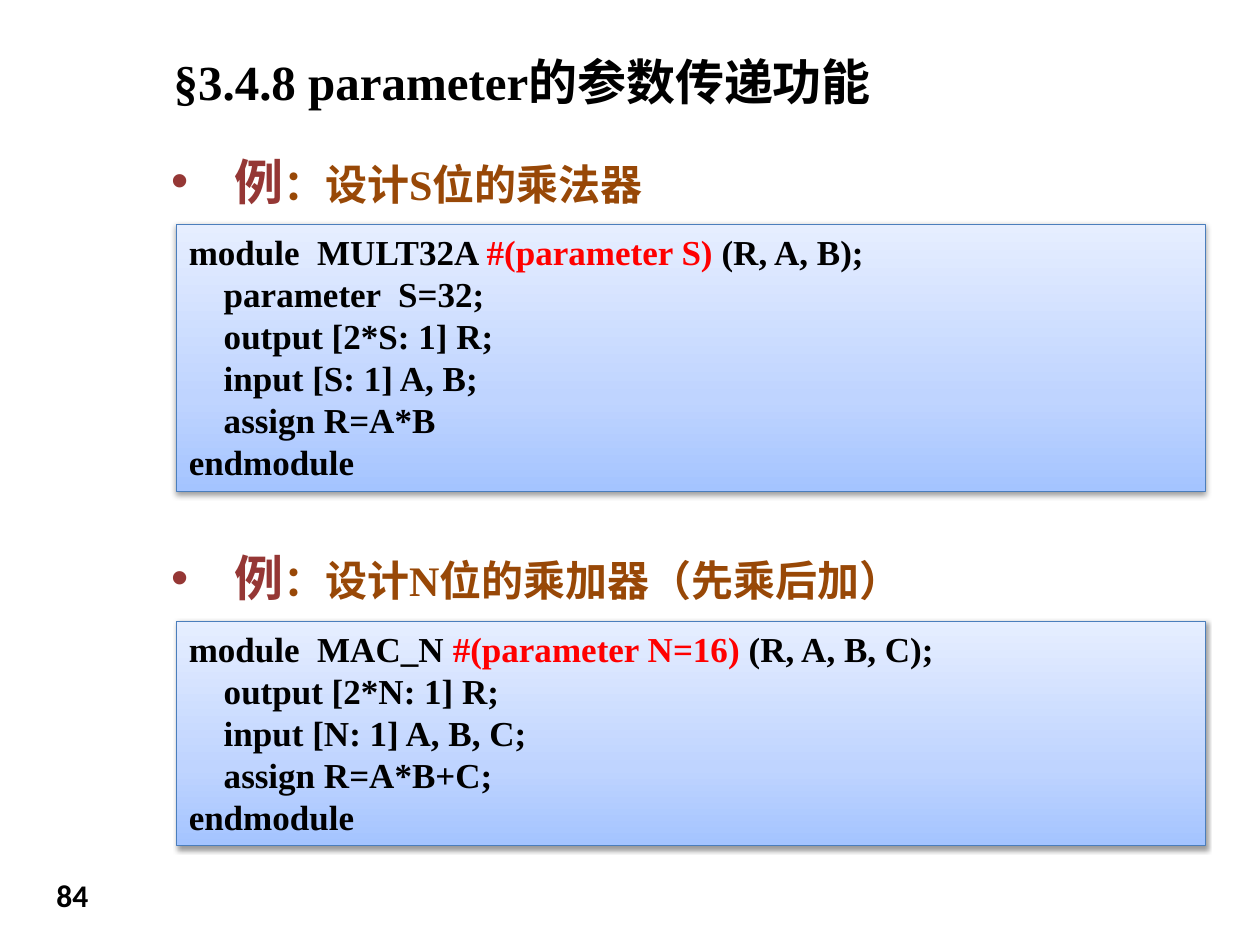
from lxml.etree import SubElement
from pptx import Presentation
from pptx.dml.color import RGBColor
from pptx.enum.shapes import MSO_SHAPE
from pptx.enum.text import MSO_ANCHOR, PP_ALIGN
from pptx.oxml import parse_xml
from pptx.oxml.ns import nsdecls, qn
from pptx.util import Inches, Pt

COLORS = {
    "black": "000000", "red": "FF0000", "maroon": "953735", "brown": "984807",
    "border": "4B7EBC", "deep": "A4C4FF", "middle": "BFD4FF", "pale": "E6EEFF",
}
SERIF = "Times New Roman"

deck = Presentation()
deck.slide_width, deck.slide_height = Inches(10), Inches(7.5)
page = deck.slides.add_slide(deck.slide_layouts[6])


def add_text_box(left, top, width, height):
    box = page.shapes.add_textbox(Inches(left), Inches(top), Inches(width), Inches(height))
    box.text_frame.word_wrap = True
    return box.text_frame.paragraphs[0]


def add_run(para, text, size, color="black", font=SERIF):
    span = para.add_run()
    span.text = text
    span.font.name = font
    span.font.size = Pt(size)
    span.font.bold = True
    span.font.color.rgb = RGBColor.from_string(COLORS[color])


title = add_text_box(1.28, 0.36, 8.28, 1.26)
add_run(title, "§3.4.8 parameter的参数传递功能", 28)

examples = [
    (1.15, 2.12, "：设计S位的乘法器", [
        [("module  MULT32A ", "black"), ("#(parameter S)", "red"), (" (R, A, B);", "black")],
        [("    parameter  S=32;", "black")],
        [("    output [2*S: 1] R;", "black")],
        [("    input [S: 1] A, B;", "black")],
        [("    assign R=A*B", "black")],
        [("endmodule", "black")],
    ]),
    (4.3, 1.78, "：设计N位的乘加器（先乘后加）", [
        [("module  MAC_N ", "black"), ("#(parameter N=16) ", "red"), ("(R, A, B, C);", "black")],
        [("    output [2*N: 1] R;", "black")],
        [("    input [N: 1] A, B, C;", "black")],
        [("    assign R=A*B+C;", "black")],
        [("endmodule", "black")],
    ]),
]

for top, code_height, heading, code_lines in examples:
    para = add_text_box(1.26, top, 7.72, 0.94)
    properties = para._p.get_or_add_pPr()
    properties.set("marL", str(Inches(0.5)))
    properties.set("indent", str(Inches(-0.5)))
    bullet_color = SubElement(properties, qn("a:buClr"))
    SubElement(bullet_color, qn("a:srgbClr"), val=COLORS["maroon"])
    SubElement(properties, qn("a:buFont"), typeface="Arial")
    SubElement(properties, qn("a:buChar"), char="•")
    add_run(para, "例", 28, "maroon")
    add_run(para, heading, 24, "brown")

    panel = page.shapes.add_shape(
        MSO_SHAPE.RECTANGLE, Inches(1.4), Inches(top + 0.63), Inches(8.17), Inches(code_height))
    panel.line.color.rgb = RGBColor.from_string(COLORS["border"])
    panel.line.width = Pt(0.75)
    panel.fill.gradient()
    gradient = panel._element.spPr.find(qn("a:gradFill"))
    stops = gradient.find(qn("a:gsLst"))
    for stop in list(stops):
        stops.remove(stop)
    for position, name in ((0, "deep"), (35, "middle"), (100, "pale")):
        stop = SubElement(stops, qn("a:gs"), pos=str(position * 1000))
        SubElement(stop, qn("a:srgbClr"), val=COLORS[name])
    gradient.find(qn("a:lin")).set("ang", str(270 * 60000))
    panel._element.spPr.append(parse_xml(
        f'<a:effectLst {nsdecls("a")}><a:outerShdw blurRad="{Pt(3.1)}" dist="{Pt(1.6)}" '
        f'dir="5400000" rotWithShape="0"><a:srgbClr val="{COLORS["black"]}">'
        '<a:alpha val="38000"/></a:srgbClr></a:outerShdw></a:effectLst>'))

    frame = panel.text_frame
    frame.word_wrap = True
    frame.vertical_anchor = MSO_ANCHOR.TOP
    for index, code_line in enumerate(code_lines):
        para = frame.add_paragraph() if index else frame.paragraphs[0]
        para.alignment = PP_ALIGN.LEFT
        for text, color in code_line:
            add_run(para, text, 20, color)

page_number = add_text_box(0.35, 6.9, 0.63, 0.45)
add_run(page_number, "84", 18, font="Calibri")

deck.save("out.pptx")
